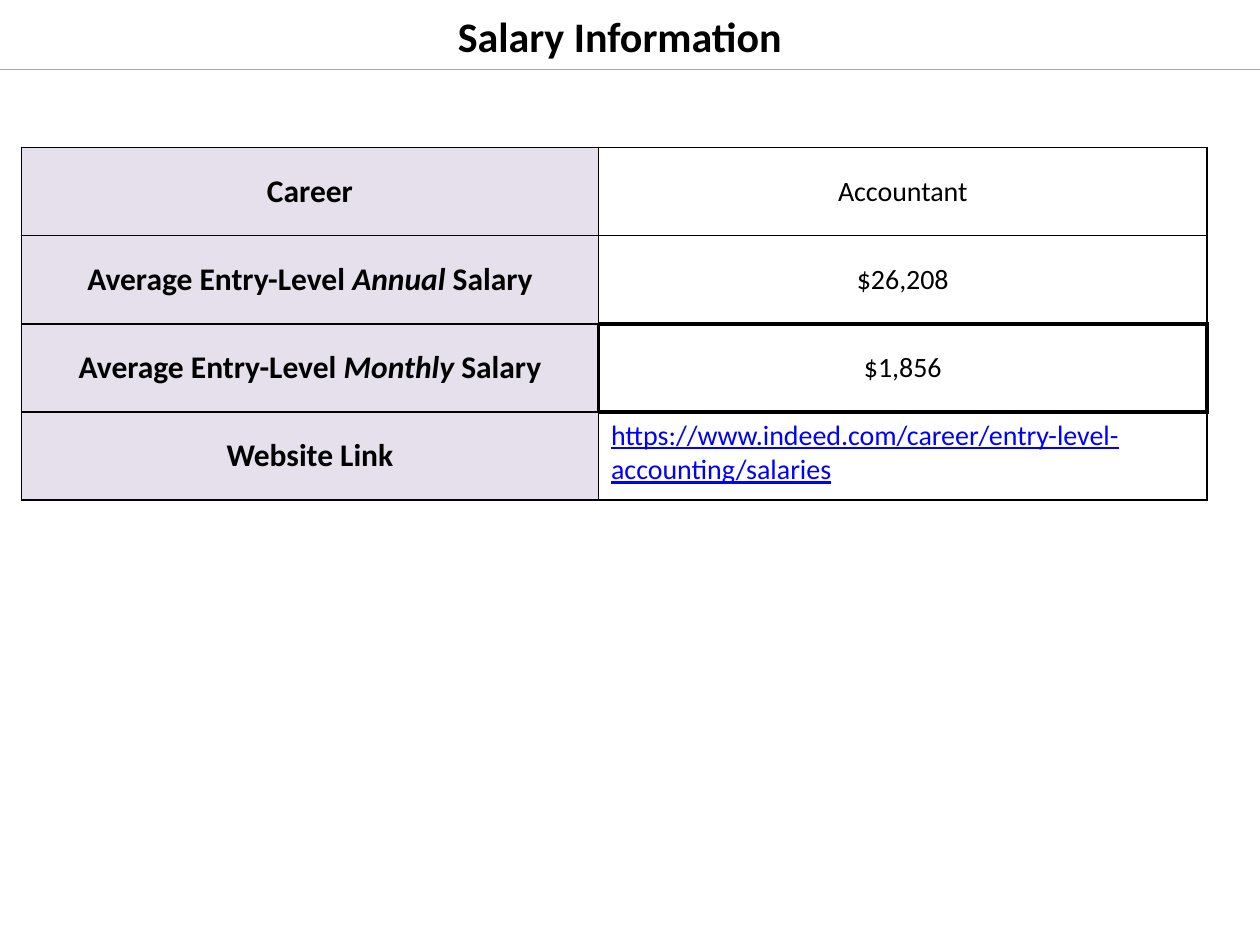
from lxml import etree
from pptx import Presentation
from pptx import util as u
from pptx.dml.color import RGBColor
from pptx.enum import shapes, text
from pptx.oxml import ns

WIDTH, HEIGHT = u.Inches(10), u.Inches(7.5)
FONT = "Calibri"
BLACK, BLUE, LILAC, GREY = "000000", "0000FF", "E6E0EC", "A6A6A6"
COLUMNS = (4.58, 4.83)
ROW_HEIGHT = 0.7
THIN, THICK = 1, 2.25
ROWS = [
    (["Career"], "Accountant"),
    (["Average Entry-Level ", "Annual", " Salary"], "$26,208"),
    (["Average Entry-Level ", "Monthly", " Salary"], "$1,856"),
    (["Website Link"], "https://www.indeed.com/career/entry-level-accounting/salaries"),
]
MONTHLY_ROW, LINK_ROW = 2, 3
THICK_SIDES = {
    (MONTHLY_ROW - 1, 1): "B",
    (MONTHLY_ROW, 0): "R",
    (MONTHLY_ROW, 1): "LRTB",
    (LINK_ROW, 1): "T",
}


def colour(value):
    """Turn a hex string into a colour."""
    return RGBColor.from_string(value)


def add_run(paragraph, words, size, bold=False, italic=False, ink=BLACK, underline=False):
    """Append one formatted run to a paragraph."""
    run = paragraph.add_run()
    run.text = words
    font = run.font
    font.name, font.size = FONT, u.Pt(size)
    font.bold, font.italic, font.underline = bold, italic, underline
    font.color.rgb = colour(ink)


def add_title(slide, words):
    """Add the centred heading."""
    box = slide.shapes.add_textbox(u.Inches(0.42), u.Inches(0.06), u.Inches(9), u.Inches(0.44))
    frame = box.text_frame
    frame.word_wrap = True
    frame.vertical_anchor = text.MSO_ANCHOR.MIDDLE
    paragraph = frame.paragraphs[0]
    paragraph.alignment = text.PP_ALIGN.CENTER
    add_run(paragraph, words, 24, bold=True)


def add_rule(slide, top):
    """Draw a thin line across the whole slide."""
    rule = slide.shapes.add_connector(shapes.MSO_CONNECTOR.STRAIGHT, 0, top, WIDTH, top)
    rule.line.color.rgb = colour(GREY)
    rule.line.width = u.Pt(0.75)
    etree.SubElement(rule._element.spPr, ns.qn("a:effectLst"))


def set_borders(cell, thick_sides):
    """Give a cell black borders, heavier on the named sides."""
    properties = cell._tc.get_or_add_tcPr()
    for index, side in enumerate("LRTB"):
        width = u.Pt(THICK if side in thick_sides else THIN)
        line = etree.Element(ns.qn(f"a:ln{side}"), w=str(int(width)))
        fill = etree.SubElement(line, ns.qn("a:solidFill"))
        etree.SubElement(fill, ns.qn("a:srgbClr"), val=BLACK)
        properties.insert(index, line)


def fill_label(cell, parts):
    """Write a bold label whose second part is italic."""
    cell.fill.solid()
    cell.fill.fore_color.rgb = colour(LILAC)
    for index, part in enumerate(parts):
        add_run(cell.text_frame.paragraphs[0], part, 18, bold=True, italic=index == 1)


def fill_value(cell, words, is_link):
    """Write a plain value, or a web address in link style."""
    cell.fill.background()
    ink = BLUE if is_link else BLACK
    add_run(cell.text_frame.paragraphs[0], words, 16, ink=ink, underline=is_link)


def add_salary_table(slide):
    """Add the table of labels and values."""
    frame = slide.shapes.add_table(
        len(ROWS), len(COLUMNS), u.Inches(0.17), u.Inches(1.17),
        u.Inches(sum(COLUMNS)), u.Inches(ROW_HEIGHT * len(ROWS)))
    table = frame.table
    table.first_row = table.horz_banding = False
    for column, width in zip(table.columns, COLUMNS):
        column.width = u.Inches(width)
    for row, (label, value) in enumerate(ROWS):
        table.rows[row].height = u.Inches(ROW_HEIGHT)
        fill_label(table.cell(row, 0), label)
        fill_value(table.cell(row, 1), value, row == LINK_ROW)
        for column in range(len(COLUMNS)):
            cell = table.cell(row, column)
            set_borders(cell, THICK_SIDES.get((row, column), ""))
            if (row, column) != (LINK_ROW, 1):
                cell.vertical_anchor = text.MSO_ANCHOR.MIDDLE
                cell.text_frame.paragraphs[0].alignment = text.PP_ALIGN.CENTER


def main():
    """Build and save the slide."""
    presentation = Presentation()
    presentation.slide_width, presentation.slide_height = WIDTH, HEIGHT
    slide = presentation.slides.add_slide(presentation.slide_layouts[6])
    add_rule(slide, u.Inches(0.55))
    add_title(slide, "Salary Information")
    add_salary_table(slide)
    presentation.save("out.pptx")


if __name__ == "__main__":
    main()
